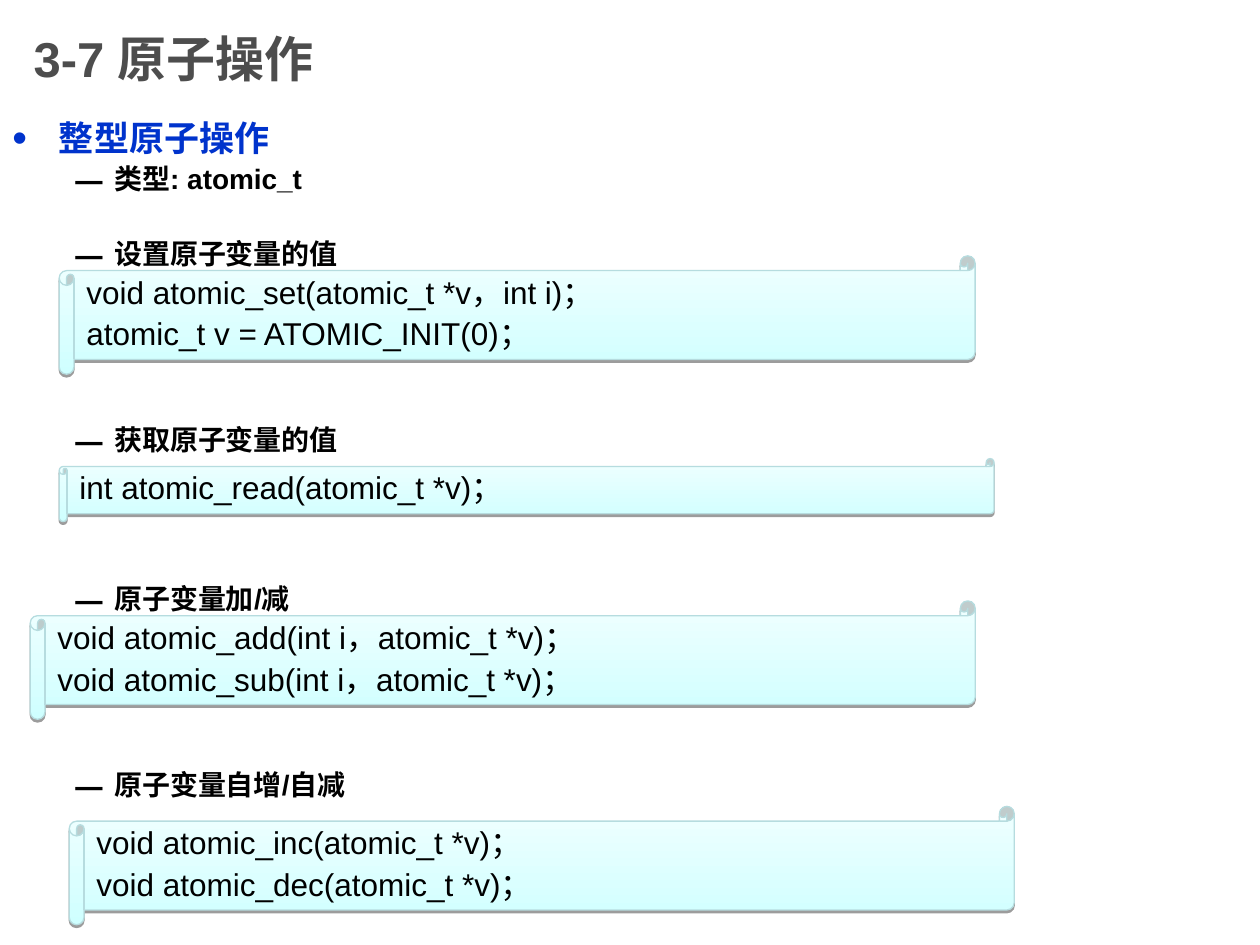
from lxml import etree
from pptx import Presentation
from pptx.dml.color import RGBColor
from pptx.enum.shapes import MSO_SHAPE
from pptx.enum.text import MSO_ANCHOR, MSO_AUTO_SIZE, PP_ALIGN
from pptx.oxml import parse_xml
from pptx.util import Pt

SCROLL = MSO_SHAPE.HORIZONTAL_SCROLL
TOP, MIDDLE = MSO_ANCHOR.TOP, MSO_ANCHOR.MIDDLE
LEFT = PP_ALIGN.LEFT
NO_FIT = MSO_AUTO_SIZE.NONE
NS = "http://schemas.openxmlformats.org/drawingml/2006/main"

COLORS = {
    "title": "4D4D4D", "topic": "0033CC", "text": "000000",
    "scroll_bottom": "CFFFFF", "scroll_top": "F0FFFF", "scroll_line": "B6DCDF",
}
SHADOW = (
    f'<a:effectLst xmlns:a="{NS}"><a:outerShdw blurRad="0" dist="{Pt(1.6)}" '
    'dir="5400000" rotWithShape="0"><a:srgbClr val="000000">'
    '<a:alpha val="38000"/></a:srgbClr></a:outerShdw></a:effectLst>'
)


def write(p, text, size, color, bold):
    p.alignment = LEFT
    r = p.add_run()
    r.text = text
    r.font.color.rgb = RGBColor.from_string(COLORS[color])
    for name, value in {"name": "Arial", "size": Pt(size), "bold": bold}.items():
        setattr(r.font, name, value)


def add_bullet(p, char, color, percent, left, hanging):
    """Give a paragraph a bullet and a hanging indent, in points."""
    pPr = p._p.get_or_add_pPr()
    pPr.set("marL", str(Pt(left)))
    pPr.set("indent", str(-Pt(hanging)))
    buClr = etree.SubElement(pPr, f"{{{NS}}}buClr")
    etree.SubElement(buClr, f"{{{NS}}}srgbClr", val=COLORS[color])
    etree.SubElement(pPr, f"{{{NS}}}buSzPct", val=str(percent * 1000))
    etree.SubElement(pPr, f"{{{NS}}}buFont", typeface="Arial")
    etree.SubElement(pPr, f"{{{NS}}}buChar", char=char)


prs = Presentation()
prs.slide_width, prs.slide_height = Pt(720), Pt(540)
s = prs.slides.add_slide(prs.slide_layouts[5])

# Title
title = s.shapes.title
title.left, title.top, title.width, title.height = Pt(12), Pt(0), Pt(540), Pt(66)
tf = title.text_frame
tf.auto_size, tf.vertical_anchor = NO_FIT, MIDDLE
write(tf.paragraphs[0], "3-7 原子操作", 28, "title", True)

# Outline: text and the space before it, leaving room for the code scrolls
tf = s.shapes.add_textbox(Pt(0), Pt(65.5), Pt(720), Pt(474.5)).text_frame
tf.word_wrap = True
p = tf.paragraphs[0]
add_bullet(p, "•", "topic", 120, 26.64, 26.64)
p.line_spacing = 0.9
write(p, "整型原子操作", 20, "topic", True)
for text, space in [
    ("类型: atomic_t", 4),
    ("设置原子变量的值", 25.3),
    ("获取原子变量的值", 89.3),
    ("原子变量加/减", 73.3),
    ("原子变量自增/自减", 89.3),
]:
    p = tf.add_paragraph()
    p.level = 1
    add_bullet(p, "–", "text", 175, 58.32, 22.32)
    p.line_spacing, p.space_before = 0.9, Pt(space)
    write(p, text, 16, "text", True)

# Code scrolls: left, top, width, height, lines
for left, top, width, height, lines in [
    (33.84, 146.2, 523.4, 67.7,
     ["void atomic_set(atomic_t *v，int i)；", "atomic_t v = ATOMIC_INIT(0)；"]),
    (33.84, 262.1, 534.2, 36,
     ["int atomic_read(atomic_t *v)；"]),
    (17.28, 343.4, 540, 67.7,
     ["void atomic_add(int i，atomic_t *v)；", "void atomic_sub(int i，atomic_t *v)；"]),
    (39.6, 460.8, 540, 67.7,
     ["void atomic_inc(atomic_t *v)；", "void atomic_dec(atomic_t *v)；"]),
]:
    sp = s.shapes.add_shape(SCROLL, Pt(left), Pt(top), Pt(width), Pt(height))
    sp.fill.gradient()
    sp.fill.gradient_angle = 90
    for stop, position, color in zip(
            sp.fill.gradient_stops, (0, 1), ("scroll_bottom", "scroll_top")):
        stop.position = position
        stop.color.rgb = RGBColor.from_string(COLORS[color])
    sp.line.color.rgb = RGBColor.from_string(COLORS["scroll_line"])
    sp.line.width = Pt(0.75)
    sp._element.spPr.append(parse_xml(SHADOW))

    tf = sp.text_frame
    tf.word_wrap, tf.vertical_anchor = True, TOP
    for i, line in enumerate(lines):
        p = tf.add_paragraph() if i else tf.paragraphs[0]
        p.line_spacing = 0.9
        if i:
            p.space_before = Pt(4.5)
        write(p, line, 18, "text", False)

prs.save("out.pptx")
